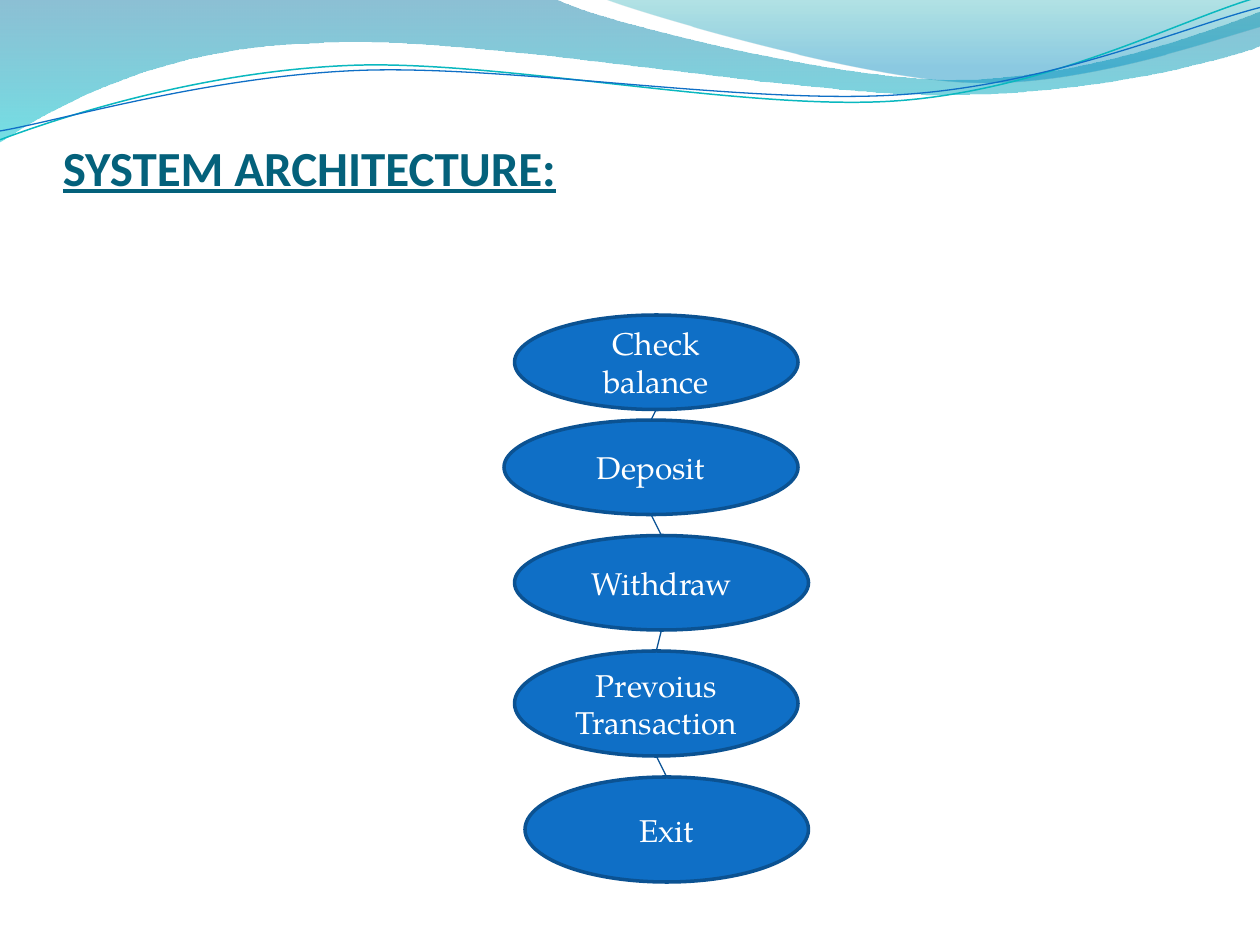
from math import cos, radians, sin

from lxml.etree import SubElement
from pptx import Presentation
from pptx.dml.color import RGBColor
from pptx.enum.shapes import MSO_CONNECTOR, MSO_SHAPE
from pptx.enum.text import MSO_ANCHOR, PP_ALIGN
from pptx.oxml.ns import qn
from pptx.util import Pt

TILT = -2.7
BAND = [(0, 0), (4.4, -0.01),
        (4.76, 0.17, 6.64, 0.63, 7.58, 0.63), (8.53, 0.63, 9.58, 0.26, 10, 0.09),
        (10.01, 0.36),
        (9.83, 0.44, 8.7, 0.76, 7.46, 0.75), (6.22, 0.75, 3.82, 0.28, 2.57, 0.34),
        (1.29, 0.36, 0.46, 0.83, -0.01, 1.13)]
CREST = [(4.79, -0.01),
         (5.09, 0.11, 6.82, 0.62, 7.69, 0.65), (8.56, 0.69, 9.61, 0.32, 10, 0.21),
         (10, 0)]
TEAL_LINE = [(0, 1.11),
             (0.48, 0.93, 1.58, 0.57, 2.77, 0.52), (3.95, 0.47, 5.93, 0.89, 7.13, 0.8),
             (8.33, 0.71, 9.38, 0.15, 9.98, -0.02)]
BLUE_LINE = [(0, 1.04),
             (0.47, 0.96, 1.64, 0.61, 2.83, 0.56), (4.03, 0.51, 5.97, 0.84, 7.17, 0.75),
             (8.36, 0.67, 9.41, 0.21, 10, 0.06)]
MENU = [("Check balance", 6, 0, 162, 54),
        ("Deposit", 0, 60, 168, 54),
        ("Withdraw", 6, 126, 168, 54),
        ("Prevoius Transaction", 6, 192, 162, 60),
        ("Exit", 12, 264, 162, 60)]


def rgb(color):
    """Turn a hex string into a colour."""
    return RGBColor.from_string(color)


def turn(point, angle):
    """Rotate a point about the middle of the wave lines."""
    dx, dy, a = point[0] - 5, point[1] - 0.58, radians(angle)
    return 5 + dx * cos(a) - dy * sin(a), 0.58 + dx * sin(a) + dy * cos(a)


def add_outline(s, segments, x, y, unit, close, tilt=0):
    """Draw an outline of straight and cubic segments, tilted by an angle."""
    curves = []
    for seg in segments:
        points = [turn(point, -tilt) for point in zip(seg[::2], seg[1::2])]
        curves.append([(Pt(x + px * unit), Pt(y + py * unit)) for px, py in points])
    builder = s.shapes.build_freeform(*curves[0][0])
    builder.add_line_segments([points[-1] for points in curves[1:]], close=close)
    sp = builder.convert_to_shape()
    for line, points in zip(list(sp._element.iter(qn("a:lnTo"))), curves[1:]):
        if len(points) == 3:
            line.tag = qn("a:cubicBezTo")
            line.clear()
            for px, py in points:
                pt = SubElement(line, qn("a:pt"))
                pt.set("x", str(px - sp.left))
                pt.set("y", str(py - sp.top))
    sp.rotation = tilt
    sp.shadow.inherit = False
    return sp


def add_waves(s, x, y, w):
    """Draw the wave header across a width."""
    unit = w / 10
    for segments, stops in (
            (BAND, [(0, "0074A1", 45), (1, "00C6CF", 55)]),
            (CREST, [(0, "00A1A9", 30), (0.8, "008BBF", 45)])):
        sp = add_outline(s, segments, x, y, unit, True)
        sp.line.fill.background()
        sp.fill.gradient()
        sp.fill.gradient_angle = 270
        for stop, (position, color, _) in zip(sp.fill.gradient_stops, stops):
            stop.position = position
            stop.color.rgb = rgb(color)
        for clr, (_, _, opacity) in zip(sp._element.iter(qn("a:srgbClr")), stops):
            SubElement(clr, qn("a:alpha")).set("val", str(opacity * 1000))
    for segments, color, width in ((TEAL_LINE, "0AB8BF", 0.85), (BLUE_LINE, "0F6FC6", 0.75)):
        sp = add_outline(s, segments, x, y, unit, False, TILT)
        sp.fill.background()
        sp.line.color.rgb = rgb(color)
        sp.line.width = Pt(width)


def add_title(s, text, x, y, w, h):
    """Write the underlined slide title."""
    tf = s.shapes.add_textbox(Pt(x), Pt(y), Pt(w), Pt(h)).text_frame
    tf.word_wrap = True
    tf.vertical_anchor = MSO_ANCHOR.BOTTOM
    tf.margin_left = tf.margin_right = 0
    tf.margin_bottom = Pt(33.5)
    p = tf.paragraphs[0]
    p.text = text
    font = p.font
    font.name, font.size, font.bold, font.underline = "Calibri", Pt(28), True, True
    font.color.rgb = rgb("04617B")


def add_step(s, text, x, y, w, h):
    """Draw one menu ellipse."""
    sp = s.shapes.add_shape(MSO_SHAPE.OVAL, Pt(x), Pt(y), Pt(w), Pt(h))
    sp.shadow.inherit = False
    sp.fill.solid()
    sp.fill.fore_color.rgb = rgb("0F6FC6")
    sp.line.color.rgb = rgb("0B5292")
    sp.line.width = Pt(2)
    tf = sp.text_frame
    tf.word_wrap = True
    tf.vertical_anchor = MSO_ANCHOR.MIDDLE
    p = tf.paragraphs[0]
    p.text = text
    p.alignment = PP_ALIGN.CENTER
    p.font.name, p.font.size = "TeX Gyre Pagella", Pt(18)
    p.font.color.rgb = rgb("FFFFFF")


def add_link(s, x1, y1, x2, y2):
    """Draw a thin line between two menu ellipses."""
    line = s.shapes.add_connector(MSO_CONNECTOR.STRAIGHT, Pt(x1), Pt(y1), Pt(x2), Pt(y2))
    line.line.color.rgb = rgb("095295")
    line.line.width = Pt(0.75)
    SubElement(line._element.spPr, qn("a:effectLst"))


def add_menu(s, x, y):
    """Draw the chain of menu ellipses and the lines between them."""
    for text, dx, dy, w, h in MENU:
        add_step(s, text, x + dx, y + dy, w, h)
    for (_, ax, ay, aw, ah), (_, bx, by, bw, _) in zip(MENU, MENU[1:]):
        add_link(s, x + ax + aw / 2, y + ay + ah, x + bx + bw / 2, y + by)


def main():
    """Build the slide and save it."""
    prs = Presentation()
    prs.slide_width, prs.slide_height = Pt(720), Pt(540)
    s = prs.slides.add_slide(prs.slide_layouts[6])
    add_waves(s, 0, 0, 720)
    add_title(s, "SYSTEM ARCHITECTURE:", 36, 55.5, 648, 90)
    add_menu(s, 288, 180)
    prs.save("out.pptx")


if __name__ == "__main__":
    main()
